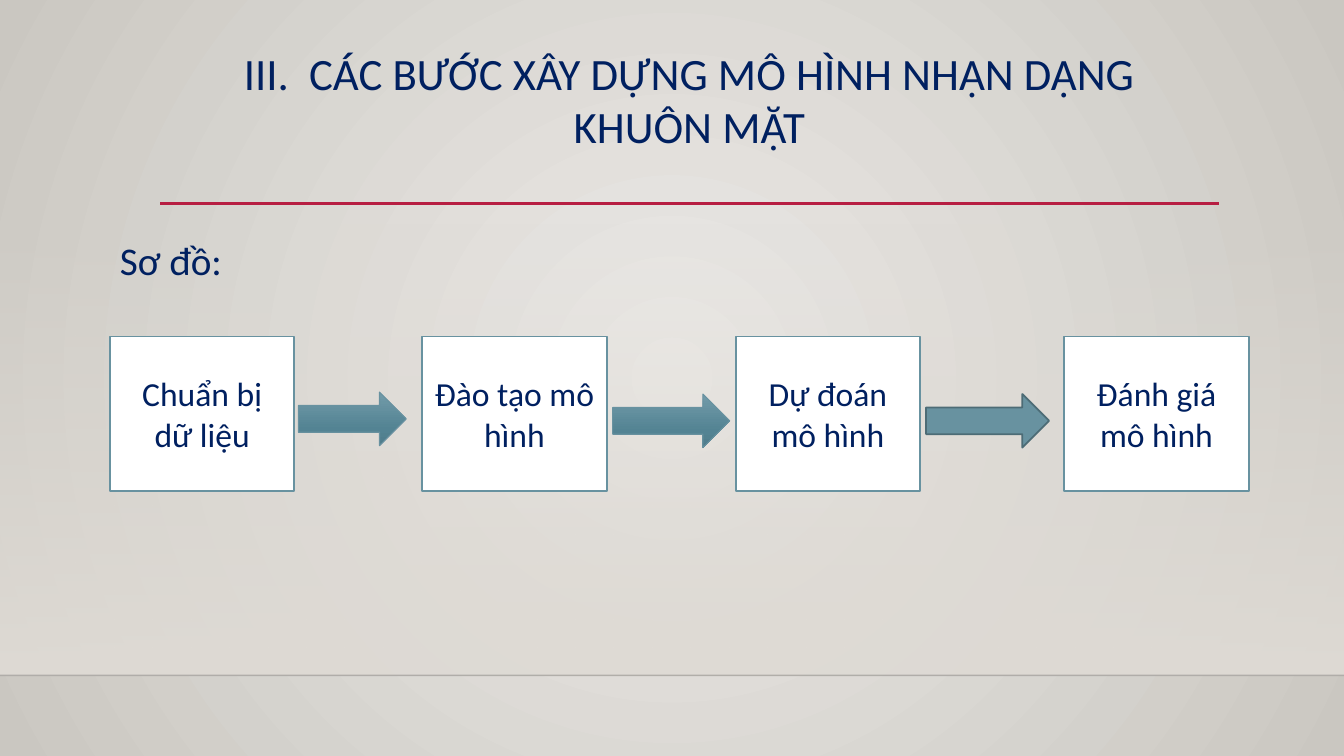
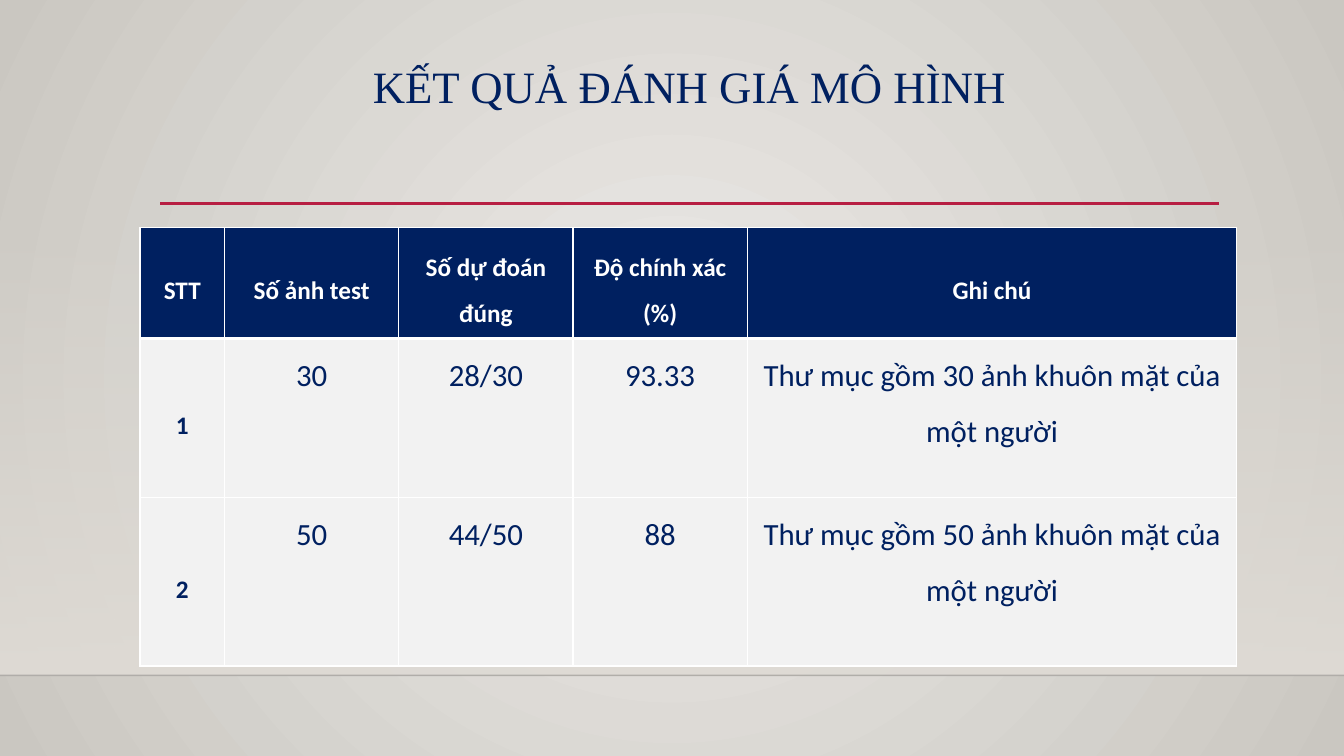
from lxml import etree
from pptx import Presentation
from pptx.dml.color import RGBColor
from pptx.enum.shapes import MSO_CONNECTOR, MSO_SHAPE
from pptx.enum.text import MSO_ANCHOR, PP_ALIGN
from pptx.oxml.ns import qn
from pptx.util import Cm, Pt

LEFT, CENTER = PP_ALIGN.LEFT, PP_ALIGN.CENTER
TOP, MIDDLE = MSO_ANCHOR.TOP, MSO_ANCHOR.MIDDLE
RECTANGLE, RIGHT_ARROW = MSO_SHAPE.RECTANGLE, MSO_SHAPE.RIGHT_ARROW
STRAIGHT = MSO_CONNECTOR.STRAIGHT

NAVY, WHITE, RED, BLACK = "002060", "FFFFFF", "B71E42", "000001"
TEAL, DARK_TEAL, PALE = "6892A0", "4D6C76", "F2F2F2"
BACKGROUND_STOPS = [(0, "ECEAE7", 100), (100, "CAC7C1", 100)]
BAND_STOPS = [(0, "DFDBD5", 0), (100, "DFDBD5", 100)]
ARROW_STOPS = [(0, "729BA9", 100), (69, "538393", 100), (100, "4F7C8B", 100)]
WIDTH, HEIGHT = 33.87, 19.05


def set_gradient(fill, element, stops, circular=False):
    """Fill with (position, colour, opacity) stops, downwards or from the centre."""
    fill.gradient()
    gradient = element.find(".//" + qn("a:gradFill"))
    for child in list(gradient):
        gradient.remove(child)
    stop_list = etree.SubElement(gradient, qn("a:gsLst"))
    for position, colour, opacity in stops:
        stop = etree.SubElement(stop_list, qn("a:gs"), pos=str(position * 1000))
        tone = etree.SubElement(stop, qn("a:srgbClr"), val=colour)
        etree.SubElement(tone, qn("a:alpha"), val=str(opacity * 1000))
    if circular:
        shade = etree.SubElement(gradient, qn("a:path"), {"path": "circle"})
        etree.SubElement(shade, qn("a:fillToRect"), dict.fromkeys("ltrb", "50000"))
    else:
        etree.SubElement(gradient, qn("a:lin"), ang="5400000", scaled="0")


def write(frame, text, size, colour=NAVY, align=CENTER, anchor=MIDDLE,
          spacing=1.0, bold=False, font="Calibri"):
    frame.word_wrap = True
    frame.vertical_anchor = anchor
    para = frame.paragraphs[0]
    para.text = text
    para.alignment = align
    para.line_spacing = spacing
    para.font.name = font
    para.font.size = Pt(size)
    para.font.bold = bold
    para.font.color.rgb = RGBColor.from_string(colour)


deck = Presentation()
deck.slide_width, deck.slide_height = Cm(WIDTH), Cm(HEIGHT)

# Shared background, band, rules and title: text, font, top, height, line spacing
titles = [
    ("III.  CÁC BƯỚC XÂY DỰNG MÔ HÌNH NHẬN DẠNG KHUÔN MẶT", "Calibri", 1.02, 3.12, 1.0),
    ("KẾT QUẢ ĐÁNH GIÁ MÔ HÌNH", "Times New Roman", 1.52, 2.46, 0.9),
]
rules = [(0, WIDTH, 17.02, BLACK, 1, 20), (4.04, 30.73, 5.13, RED, 2.5, 100)]
pages = []
for title, font, top, height, spacing in titles:
    page = deck.slides.add_slide(deck.slide_layouts[6])
    pages.append(page)
    set_gradient(page.background.fill, page.element, BACKGROUND_STOPS, circular=True)

    band = page.shapes.add_shape(RECTANGLE, 0, Cm(5.61), Cm(WIDTH), Cm(11.41))
    band.shadow.inherit = False
    band.line.fill.background()
    set_gradient(band.fill, band.element, BAND_STOPS)

    for start, end, y, colour, weight, opacity in rules:
        rule = page.shapes.add_connector(STRAIGHT, Cm(start), Cm(y), Cm(end), Cm(y))
        rule.line.color.rgb = RGBColor.from_string(colour)
        rule.line.width = Pt(weight)
        tone = rule.element.find(".//" + qn("a:ln")).find(".//" + qn("a:srgbClr"))
        etree.SubElement(tone, qn("a:alpha"), val=str(opacity * 1000))
        etree.SubElement(rule.element.spPr, qn("a:effectLst"))

    box = page.shapes.add_textbox(Cm(4.04), Cm(top), Cm(26.67), Cm(height))
    write(box.text_frame, title, 32, anchor=TOP, spacing=spacing, font=font)

steps_page, results_page = pages

# Steps of the model
heading = steps_page.shapes.add_textbox(Cm(2.77), Cm(5.59), Cm(29.95), Cm(11.35))
write(heading.text_frame, "Sơ đồ:", 28, align=LEFT, anchor=TOP, spacing=1.2)

steps = [
    (2.77, "Chuẩn bị dữ liệu"),
    (10.64, "Đào tạo mô hình"),
    (18.54, "Dự đoán mô hình"),
    (26.82, "Đánh giá mô hình"),
]
for left, text in steps:
    step = steps_page.shapes.add_shape(RECTANGLE, Cm(left), Cm(8.48), Cm(4.65), Cm(3.89))
    step.shadow.inherit = False
    step.fill.solid()
    step.fill.fore_color.rgb = RGBColor.from_string(WHITE)
    step.line.color.rgb = RGBColor.from_string(TEAL)
    step.line.width = Pt(1.25)
    write(step.text_frame, text, 24)

arrows = [
    (7.52, 9.88, 2.72, True, TEAL, 0.75),
    (15.44, 9.93, 2.95, True, TEAL, 0.75),
    (23.34, 9.93, 3.1, False, DARK_TEAL, 1.25),
]
for left, top, width, shaded, outline, weight in arrows:
    arrow = steps_page.shapes.add_shape(RIGHT_ARROW, Cm(left), Cm(top), Cm(width), Cm(1.35))
    arrow.shadow.inherit = False
    if shaded:
        set_gradient(arrow.fill, arrow.element, ARROW_STOPS)
    else:
        arrow.fill.solid()
        arrow.fill.fore_color.rgb = RGBColor.from_string(TEAL)
    arrow.line.color.rgb = RGBColor.from_string(outline)
    arrow.line.width = Pt(weight)

# Results table
rows = [
    ["STT", "Số ảnh test", "Số dự đoán đúng", "Độ chính xác (%)", "Ghi chú"],
    ["1", "30", "28/30", "93.33", "Thư mục gồm 30 ảnh khuôn mặt của một người"],
    ["2", "50", "44/50", "88", "Thư mục gồm 50 ảnh khuôn mặt của một người"],
]
column_widths = [2.13, 4.39, 4.39, 4.39, 12.34]
row_heights = [2.79, 4.01, 4.24]
table = results_page.shapes.add_table(
    len(rows), len(column_widths), Cm(3.53), Cm(5.74),
    Cm(sum(column_widths)), Cm(sum(row_heights))).table
table.horz_banding = False
for column, width in zip(table.columns, column_widths):
    column.width = Cm(width)
for row, height in zip(table.rows, row_heights):
    row.height = Cm(height)

for r, texts in enumerate(rows):
    for c, text in enumerate(texts):
        cell = table.cell(r, c)
        header = r == 0
        label = header or c == 0
        cell.margin_left = cell.margin_right = Cm(0.08)
        cell.margin_top = cell.margin_bottom = 0
        cell.vertical_anchor = MIDDLE if label else TOP
        write(cell.text_frame, text, 18 if label else 22, WHITE if header else NAVY,
              anchor=None, spacing=1.5, bold=label)
        properties = cell._tc.get_or_add_tcPr()
        for side in "LRTB":
            heavy = (r, side) in [(0, "B"), (1, "T")]
            border = etree.SubElement(properties, qn("a:ln" + side),
                                      w=str(Pt(3 if heavy else 1)))
            paint = etree.SubElement(border, qn("a:solidFill"))
            etree.SubElement(paint, qn("a:srgbClr"), val=WHITE)
        cell.fill.solid()
        cell.fill.fore_color.rgb = RGBColor.from_string(NAVY if header else PALE)

deck.save("out.pptx")
